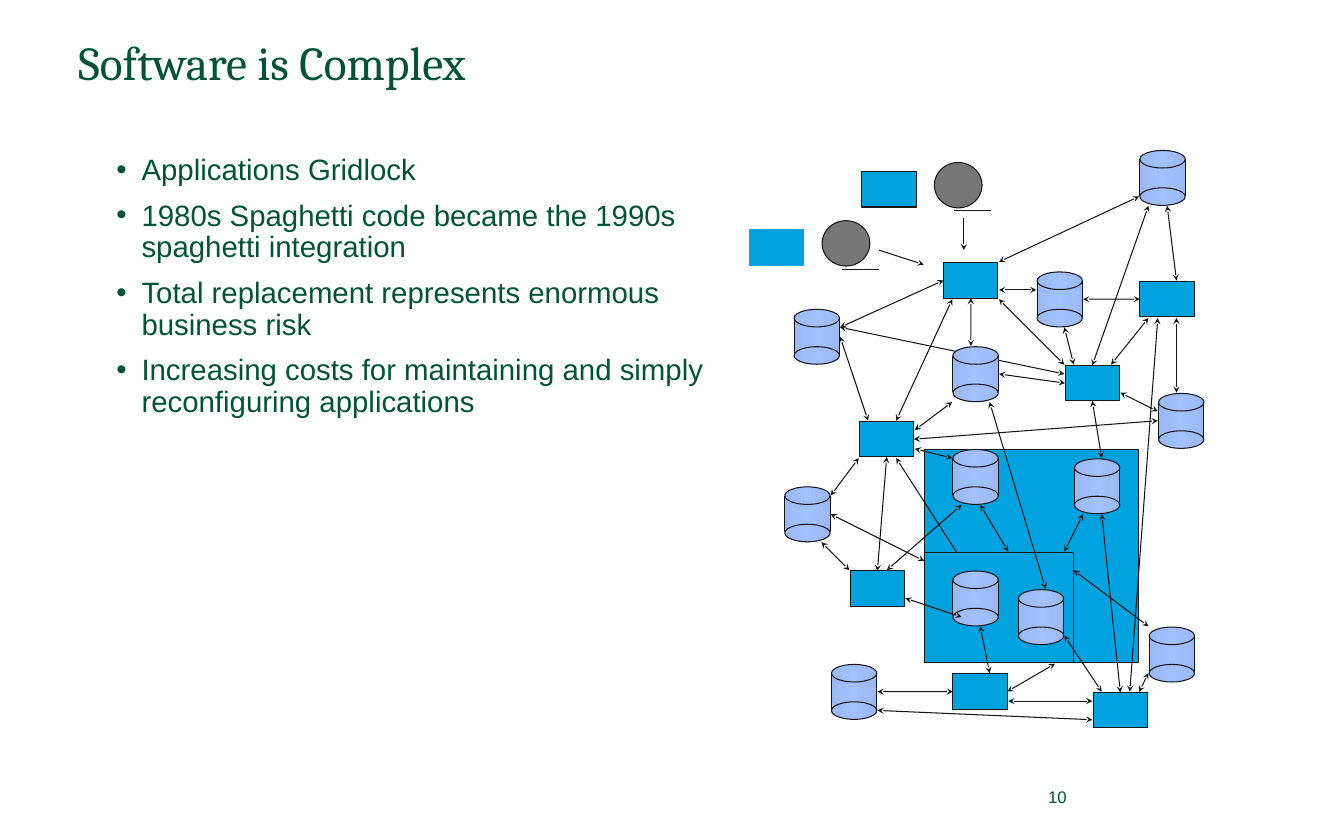
from copy import deepcopy
from typing import NamedTuple

from lxml.etree import SubElement
from pptx import Presentation
from pptx.dml.color import RGBColor
from pptx.enum.shapes import MSO_CONNECTOR, MSO_SHAPE
from pptx.enum.text import MSO_ANCHOR, PP_ALIGN
from pptx.oxml.ns import qn
from pptx.util import Pt

GREEN, BLUE, GRAY, INK = "005336", "00A3E0", "777777", "171616"
CYLINDER_STOPS = ((0, "9BB8F2"), (0.5, "A2C1FE"), (1, "9BB8F2"))

# The diagram sits on a square grid; arrow tips stop just short of it.
GRID, GRID_LEFT, GRID_TOP, TIP_GAP = 8.9, 747.4, 143.3, 0.7
BOX_W, BOX_H = 51.8, 33.8
CYLINDER_W, LID_H = 43.2, 16.7
LEGEND_STEP_X, LEGEND_STEP_Y = -106.9, 55.4


class Cell(NamedTuple):
    col: int
    row: int

    def point(self, gap: float = 0) -> tuple[float, float]:
        return GRID_LEFT + self.col * GRID - gap, GRID_TOP + self.row * GRID - gap


class Arrow(NamedTuple):
    start: Cell
    end: Cell


class Legend(NamedTuple):
    index: int
    box_line: str


def arrows(*ends: tuple[int, int, int, int]) -> list[Arrow]:
    return [Arrow(Cell(a, b), Cell(c, d)) for a, b, c, d in ends]


BOXES = [Cell(*c) for c in (
    (30, 23), (7, 45), (8, 29), (18, 56), (33, 58), (17, 12), (38, 14))]
CYLINDERS = [Cell(*c) for c in (
    (18, 21), (27, 13), (18, 32), (31, 33), (25, 47), (39, 51), (40, 26),
    (0, 36), (1, 17), (38, 0), (5, 55), (18, 45))]
BACK_ARROWS = arrows((12, 33, 21, 47), (6, 19, 30, 24))
FRONT_ARROWS = arrows(
    (6, 20, 9, 29), (12, 29, 18, 16), (18, 27, 14, 30), (14, 32, 18, 33),
    (41, 6, 42, 14), (33, 27, 34, 33), (36, 26, 40, 28), (35, 23, 39, 18),
    (31, 23, 30, 19), (32, 16, 38, 16), (23, 15, 27, 15), (23, 16, 30, 23),
    (23, 24, 30, 25), (22, 27, 28, 47), (32, 39, 30, 43), (14, 31, 40, 29),
    (8, 33, 5, 37), (10, 45, 11, 33), (21, 38, 24, 43), (13, 48, 19, 50),
    (20, 16, 20, 21), (6, 19, 17, 14), (21, 51, 22, 56), (10, 58, 18, 58),
    (7, 45, 4, 42), (11, 45, 19, 38), (29, 55, 24, 58), (30, 52, 34, 58),
    (39, 56, 38, 58), (36, 58, 34, 39), (37, 58, 40, 18), (10, 60, 33, 61),
    (24, 59, 33, 59), (5, 39, 15, 44), (38, 5, 23, 12), (39, 6, 33, 23),
    (39, 51, 31, 45), (42, 18, 42, 26))
LEGENDS = (Legend(0, INK), Legend(1, BLUE))
LEGEND_ARROWS = ((918, 207.4, 918, 238.3), (837.4, 238.3, 879.8, 252))
BULLETS = (
    "Applications Gridlock",
    "1980s Spaghetti code became the 1990s spaghetti integration",
    "Total replacement represents enormous business risk",
    "Increasing costs for maintaining and simply reconfiguring applications",
)


def rgb(color: str) -> RGBColor:
    return RGBColor.from_string(color)


def add_text(slide, x: float, y: float, w: float, h: float,
             lines: tuple[str, ...], font: str, size: float):
    tf = slide.shapes.add_textbox(Pt(x), Pt(y), Pt(w), Pt(h)).text_frame
    tf.word_wrap = True
    tf.text = "\n".join(lines)
    for p in tf.paragraphs:
        for r in p.runs:
            r.font.name, r.font.size = font, Pt(size)
            r.font.color.rgb = rgb(GREEN)
    return tf


def add_bullet(p) -> None:
    p.line_spacing, p.space_before = 0.9, Pt(13.3)
    pPr = p._p.get_or_add_pPr()
    pPr.set("marL", str(Pt(24)))
    pPr.set("indent", str(Pt(-24)))
    SubElement(pPr, qn("a:buFont"), typeface="Arial")
    SubElement(pPr, qn("a:buChar"), char="•")


def add_figure(slide, kind: MSO_SHAPE, x: float, y: float, w: float, h: float,
               fill: str = BLUE, line: str = INK):
    s = slide.shapes.add_shape(kind, Pt(x), Pt(y), Pt(w), Pt(h))
    s.shadow.inherit = False
    s.fill.solid()
    s.fill.fore_color.rgb = rgb(fill)
    s.line.color.rgb, s.line.width = rgb(line), Pt(1)
    return s


def shade_cylinder_part(s) -> None:
    s.fill.gradient()
    s.fill.gradient_angle = 0
    stops = s._element.spPr.find(qn("a:gradFill")).find(qn("a:gsLst"))
    stops.append(deepcopy(stops[0]))
    for stop, (position, color) in zip(s.fill.gradient_stops, CYLINDER_STOPS):
        stop.position, stop.color.rgb = position, rgb(color)


def add_cylinder(slide, cell: Cell) -> None:
    x, y = cell.point()
    for kind, rows_down, height in ((MSO_SHAPE.RECTANGLE, 1, BOX_H),
                                    (MSO_SHAPE.OVAL, 0, LID_H),
                                    (MSO_SHAPE.OVAL, 4, LID_H)):
        shade_cylinder_part(add_figure(
            slide, kind, x, y + rows_down * GRID, CYLINDER_W, height))


def add_line(slide, x1: float, y1: float, x2: float, y2: float,
             heads: tuple[str, ...] = ()):
    """Draw a line; heads may hold headEnd (start) and tailEnd (end)."""
    s = slide.shapes.add_connector(
        MSO_CONNECTOR.STRAIGHT, Pt(x1), Pt(y1), Pt(x2), Pt(y2))
    s.line.color.rgb, s.line.width = rgb(INK), Pt(1)
    for head in heads:
        SubElement(s.line._get_or_add_ln(), qn(f"a:{head}"), type="stealth")
    SubElement(s._element.spPr, qn("a:effectLst"))
    return s


def add_arrow(slide, arrow: Arrow, sites: dict) -> None:
    """Draw a two-way arrow, joined wherever it meets the middle of a box side."""
    s = add_line(slide, *arrow.start.point(TIP_GAP), *arrow.end.point(TIP_GAP),
                 ("headEnd", "tailEnd"))
    if arrow.start in sites:
        s.begin_connect(*sites[arrow.start])
    if arrow.end in sites:
        s.end_connect(*sites[arrow.end])


def add_box(slide, cell: Cell) -> dict:
    """Draw a box and return the grid cells of its side middles."""
    s = add_figure(slide, MSO_SHAPE.RECTANGLE, *cell.point(), BOX_W, BOX_H)
    middles = ((3, 0), (0, 2), (3, 4), (6, 2))
    return {Cell(cell.col + dc, cell.row + dr): (s, side)
            for side, (dc, dr) in enumerate(middles)}


def add_legend(slide, legend: Legend) -> None:
    dx, dy = legend.index * LEGEND_STEP_X, legend.index * LEGEND_STEP_Y
    add_figure(slide, MSO_SHAPE.RECTANGLE, 820.8 + dx, 163.4 + dy,
               BOX_W, BOX_H, line=legend.box_line)
    add_figure(slide, MSO_SHAPE.OVAL, 889.9 + dx, 154.8 + dy, 45.4, 43.2, GRAY)
    add_line(slide, 908.6 + dx, 200.9 + dy, 943.9 + dx, 200.9 + dy)


def main() -> None:
    prs = Presentation()
    prs.slide_width, prs.slide_height = Pt(1280), Pt(800)
    slide = prs.slides.add_slide(prs.slide_layouts[6])

    number = add_text(slide, 788.4, 737.3, 234.7, 42.5, ("10",), "Arial", 16)
    number.vertical_anchor = MSO_ANCHOR.MIDDLE
    number.paragraphs[0].alignment = PP_ALIGN.RIGHT
    title = add_text(slide, 67.7, 34.6, 1103.8, 143.3,
                     ("Software is Complex",), "Cambria", 45)
    title.paragraphs[0].line_spacing = 0.9
    for p in add_text(slide, 103.7, 144, 586.8, 595.4, BULLETS, "Arial", 28).paragraphs:
        add_bullet(p)

    add_figure(slide, MSO_SHAPE.RECTANGLE, *Cell(15, 32).point(), 203, 203)
    for arrow in BACK_ARROWS:
        add_arrow(slide, arrow, {})
    add_figure(slide, MSO_SHAPE.RECTANGLE, *Cell(15, 43).point(), 141.1, 105.1)
    sites = {}
    for cell in BOXES:
        sites.update(add_box(slide, cell))
    for cell in CYLINDERS:
        add_cylinder(slide, cell)
    for arrow in FRONT_ARROWS:
        add_arrow(slide, arrow, sites)
    for legend in LEGENDS:
        add_legend(slide, legend)
    for ends in LEGEND_ARROWS:
        add_line(slide, *ends, ("tailEnd",))
    prs.save("out.pptx")


if __name__ == "__main__":
    main()
